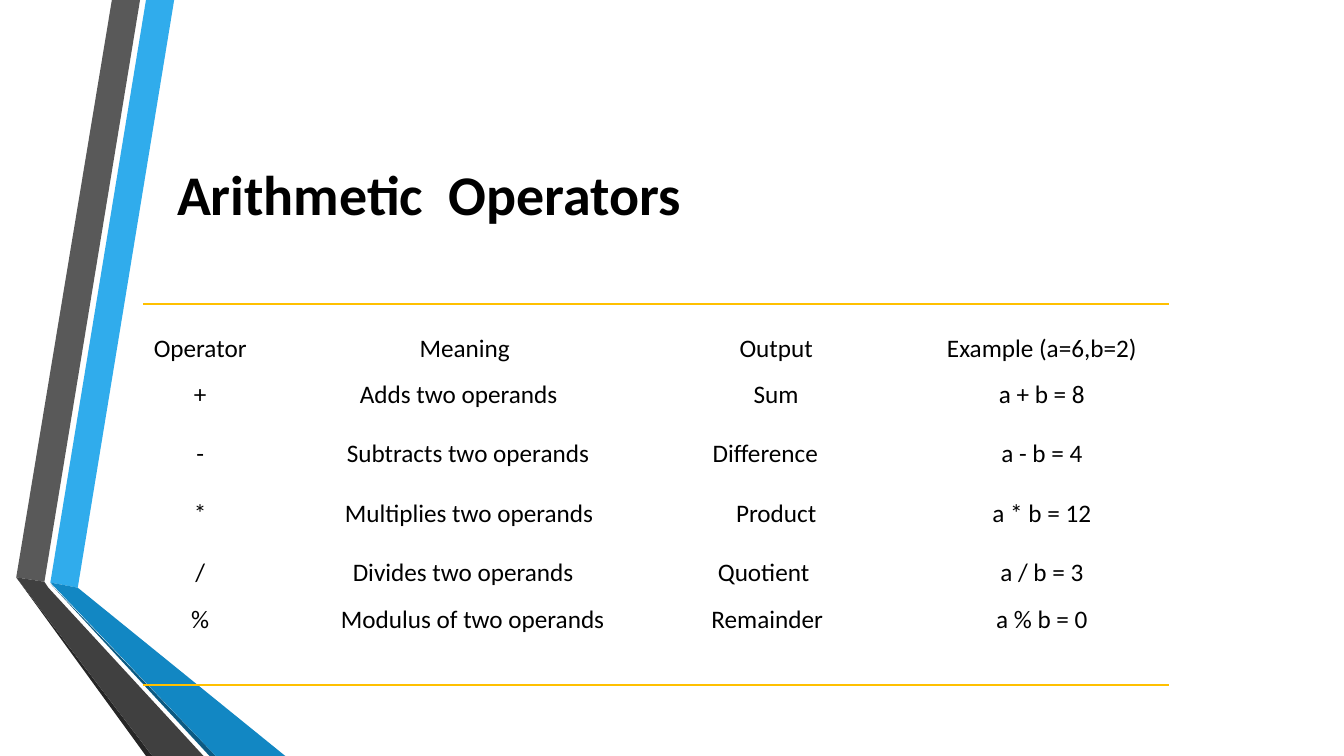
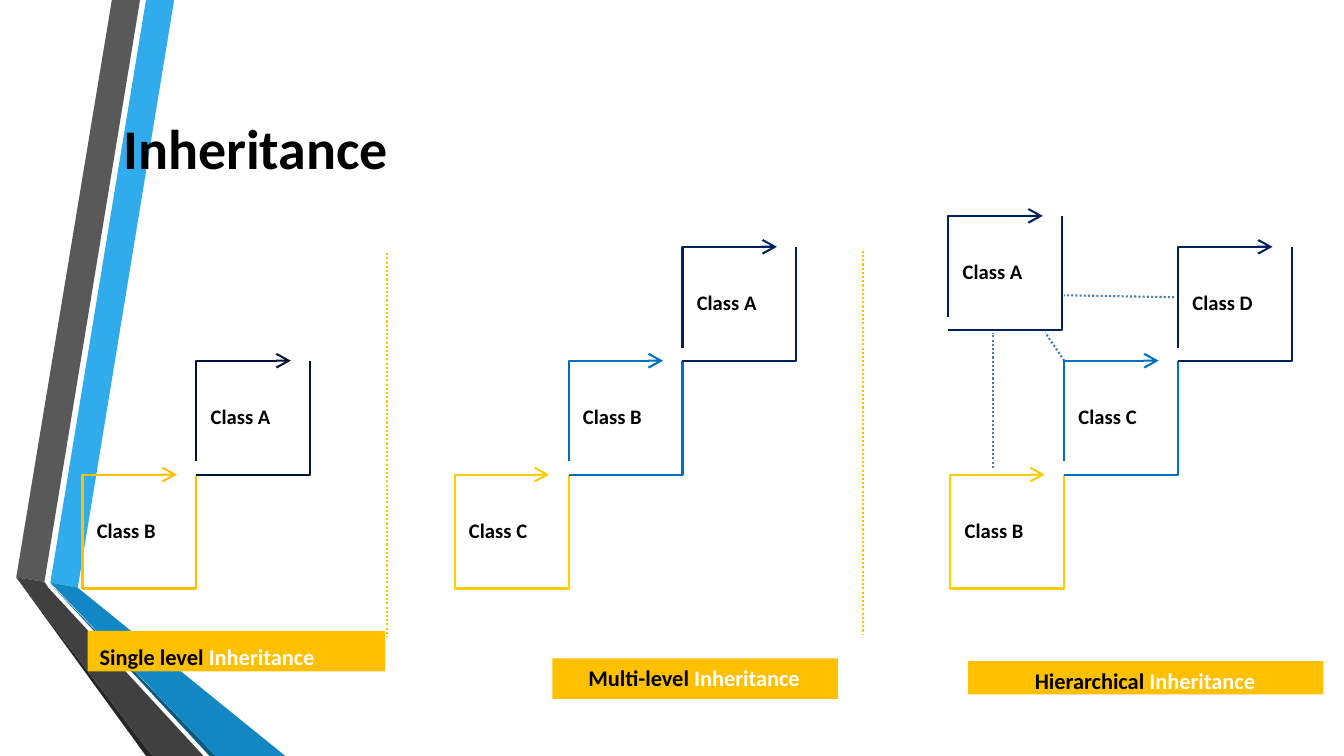
import pptx
import pptx.dml.color
import pptx.enum.dml
import pptx.enum.shapes
import pptx.enum.text
import pptx.oxml
import pptx.oxml.ns
import pptx.util

Cm, Pt = pptx.util.Cm, pptx.util.Pt
RGBColor = pptx.dml.color.RGBColor
PP_ALIGN = pptx.enum.text.PP_ALIGN
MSO_ANCHOR = pptx.enum.text.MSO_ANCHOR
MSO_SHAPE = pptx.enum.shapes.MSO_SHAPE
DOTTED = pptx.enum.dml.MSO_LINE.ROUND_DOT
NS = pptx.oxml.ns.nsdecls("a")

BLACK = RGBColor(0x00, 0x00, 0x00)
WHITE = RGBColor(0xFF, 0xFF, 0xFF)
GOLD = RGBColor(0xFF, 0xC0, 0x00)
YELLOW = RGBColor(0xFF, 0xCC, 0x00)
MIDNIGHT = RGBColor(0x00, 0x12, 0x39)
NAVY = RGBColor(0x00, 0x1F, 0x5F)
BLUE = RGBColor(0x00, 0x6F, 0xC0)
LINK_BLUE = RGBColor(0x49, 0x7D, 0xBA)
SKY = RGBColor(0x30, 0xAC, 0xEC)
OCEAN = RGBColor(0x12, 0x87, 0xC3)
DEEP = RGBColor(0x0C, 0x5A, 0x82)
GREY = RGBColor(0x59, 0x59, 0x59)
CHARCOAL = RGBColor(0x40, 0x40, 0x40)
SOOT = RGBColor(0x26, 0x26, 0x26)

TITLE = {"name": "Calibri", "size": Pt(40), "bold": True}
CELL = {"name": "Calibri", "size": Pt(18), "bold": False}
LABEL = {"name": "Calibri", "size": Pt(14.7), "bold": True}
CAPTION = {"name": "Calibri", "size": Pt(16), "bold": True}
NO_INSETS = {"margin_left": 0, "margin_top": 0, "margin_right": 0, "margin_bottom": 0}


def add_freeform(s, points, closed):
    """Draw an outline through points given in centimetres."""
    pts = [(Cm(x), Cm(y)) for x, y in points]
    builder = s.shapes.build_freeform(*pts[0], scale=1.0)
    builder.add_line_segments(pts[1:], close=closed)
    sp = builder.convert_to_shape()
    sp.shadow.inherit = False
    return sp


def add_run(p, text, fmt, color=BLACK):
    r = p.add_run()
    r.text = text
    for name, value in fmt.items():
        setattr(r.font, name, value)
    r.font.color.rgb = color


prs = pptx.Presentation()
prs.slide_width, prs.slide_height = Cm(33.87), Cm(19.05)
layout = prs.slide_layouts[5]

# Titles
slides = []
for text, left, top, width in [
    ("Arithmetic  Operators", 3.61, 3.86, 14.4),
    ("Inheritance", 1.88, 2.7, 9.12),
]:
    s = prs.slides.add_slide(layout)
    sp = s.shapes.title
    sp.left, sp.top, sp.width, sp.height = Cm(left), Cm(top), Cm(width), Cm(2.03)
    tf = sp.text_frame
    title_frame = {"word_wrap": True, "vertical_anchor": MSO_ANCHOR.MIDDLE,
                   "auto_size": pptx.enum.text.MSO_AUTO_SIZE.NONE}
    for name, value in {**NO_INSETS, **title_frame}.items():
        setattr(tf, name, value)
    tf.paragraphs[0].alignment = PP_ALIGN.CENTER
    add_run(tf.paragraphs[0], text, TITLE)
    slides.append(s)
operators, inheritance = slides

# Bands at the left edge, moved to the layout behind its placeholders
bands = [
    (SKY, [(1.27, 14.68), (1.96, 14.81), (4.39, 0), (3.68, 0)]),
    (GREY, [(3.53, 0), (2.82, 0), (0.41, 14.55), (1.12, 14.66)]),
    (SOOT, [(0.41, 14.55), (3.68, 19.05), (3.84, 19.05)]),
    (DEEP, [(1.27, 14.71), (5.28, 19.05), (5.44, 19.05)]),
    (OCEAN, [(1.27, 14.68), (5.44, 19.05), (7.19, 19.05), (1.96, 14.81)]),
    (CHARCOAL, [(0.41, 14.55), (3.84, 19.05), (5.13, 19.05), (1.22, 14.81), (1.12, 14.66)]),
]
for i, (color, points) in enumerate(bands):
    sp = add_freeform(operators, points, True)
    sp.fill.solid()
    sp.fill.fore_color.rgb = color
    sp.line.fill.background()
    layout.shapes.element.insert(2 + i, sp.element)

# Operator table: a cell with a left inset is left-aligned, others are centred
rows = [
    (1.63, 0.74, ["Operator", "Meaning", "Output", "Example (a=6,b=2)"], {}),
    (1.4, 0.25, ["+", "Adds two operands", "Sum", "a + b = 8"], {1: 1.65}),
    (1.5, 0.36, ["-", "Subtracts two operands", "Difference", "a - b = 4"], {1: 1.32, 2: 1.55}),
    (1.5, 0.36, ["*", "Multiplies two operands", "Product", "a * b = 12"], {1: 1.27}),
    (1.5, 0.36, ["/", "Divides two operands", "Quotient", "a / b = 3"], {1: 1.47, 2: 1.68}),
    (1.02, 0.03, ["%", "Modulus of two operands", "Remainder", "a % b = 0"], {1: 1.17, 2: 1.52}),
]
# Width, then left and right inset of centred cells
columns = [(3.81, 0, 0.94), (8.99, 0, 0.41), (6.2, 0.1, 0), (6.25, 1.04, 0)]
frame = operators.shapes.add_table(len(rows), len(columns), Cm(3.61), Cm(7.67),
                                   Cm(25.25), Cm(8.55))
NO_STYLE_NO_GRID = "{2D5ABB26-0587-4C30-8999-92F81FD0307C}"
frame.element.xpath(".//a:tableStyleId")[0].text = NO_STYLE_NO_GRID
table = frame.table
table.first_row = table.horz_banding = False
for col, (width, _, _) in zip(table.columns, columns):
    col.width = Cm(width)
for i, (height, top_inset, texts, left_insets) in enumerate(rows):
    table.rows[i].height = Cm(height)
    for j, text in enumerate(texts):
        cell = table.cell(i, j)
        cell.fill.background()
        _, left, right = columns[j]
        align = PP_ALIGN.CENTER
        if j in left_insets:
            left, right, align = left_insets[j], 0, PP_ALIGN.LEFT
        insets = {"margin_left": Cm(left), "margin_right": Cm(right), "margin_top": Cm(top_inset)}
        for name, value in {**NO_INSETS, **insets}.items():
            setattr(cell, name, value)
        p = cell.text_frame.paragraphs[0]
        p.alignment = align
        add_run(p, text, CELL)

# Straight lines: table rules, column dividers, links between classes
for s, color, dash, x1, y1, x2, y2 in [
    (operators, GOLD, None, 3.61, 7.67, 29.46, 7.67),
    (operators, GOLD, None, 3.61, 17.27, 29.46, 17.27),
    (inheritance, GOLD, DOTTED, 9.75, 6.38, 9.75, 16.05),
    (inheritance, GOLD, DOTTED, 21.74, 6.32, 21.74, 16),
    (inheritance, LINK_BLUE, DOTTED, 25.02, 11.79, 25.02, 8.38),
    (inheritance, LINK_BLUE, DOTTED, 26.82, 9.09, 26.34, 8.38),
    (inheritance, LINK_BLUE, DOTTED, 29.59, 7.49, 26.82, 7.44),
]:
    line = s.shapes.add_connector(pptx.enum.shapes.MSO_CONNECTOR.STRAIGHT,
                                  Cm(x1), Cm(y1), Cm(x2), Cm(y2))
    line.line.color.rgb = color
    line.line.width = Pt(1.5)
    line.line.dash_style = dash
    line.element.spPr.append(pptx.oxml.parse_xml(f"<a:effectLst {NS}/>"))

# Class boxes climb to the right, one box side per step
SIDE, ARROW_END, GAP_START = 2.87, 2.38, 2.54
staircases = [
    (2.08, 11.96, [("Class B", GOLD), ("Class A", MIDNIGHT)]),
    (11.46, 11.96, [("Class C", YELLOW), ("Class B", BLUE), ("Class A", NAVY)]),
    (23.95, 11.96, [("Class B", YELLOW), ("Class C", BLUE), ("Class D", NAVY)]),
    (23.9, 5.44, [("Class A", NAVY)]),
]
corner = [(SIDE, 0), (SIDE, SIDE), (0, SIDE)]
arrow = [(0, 0), (ARROW_END, 0)]
for x0, y0, classes in staircases:
    for step, (text, color) in enumerate(classes):
        x, y = x0 + step * SIDE, y0 - step * SIDE
        if color in (GOLD, YELLOW):
            outlines = [corner + arrow]
        else:
            outlines = [corner, [(0, GAP_START)] + arrow]
        for outline in outlines:
            sp = add_freeform(inheritance, [(x + dx, y + dy) for dx, dy in outline], False)
            sp.fill.background()
            sp.line.color.rgb = color
            sp.line.width = Pt(1.5)
        # The last outline is the one that ends in the arrow
        sp.line.color
        sp.element.spPr.find(pptx.oxml.ns.qn("a:ln")).append(
            pptx.oxml.parse_xml(f'<a:tailEnd {NS} type="arrow" w="lg" len="lg"/>'))
        tf = inheritance.shapes.add_textbox(Cm(x + 0.36), Cm(y + 1.09), Cm(1.8), Cm(0.65)).text_frame
        for name, value in {**NO_INSETS, "word_wrap": True}.items():
            setattr(tf, name, value)
        add_run(tf.paragraphs[0], text, LABEL)

# Captions
for kind, left, top, width, height, left_inset, top_inset in [
    ("Single level ", 2.21, 15.9, 7.5, 1.02, 0.3, 0.3),
    ("Multi-level ", 13.92, 16.59, 7.2, 1.02, 0.91, 0.15),
    ("Hierarchical ", 24.4, 16.66, 8.95, 0.84, 1.68, 0.15),
]:
    sp = inheritance.shapes.add_shape(MSO_SHAPE.RECTANGLE, Cm(left), Cm(top), Cm(width), Cm(height))
    sp.shadow.inherit = False
    sp.fill.solid()
    sp.fill.fore_color.rgb = GOLD
    sp.line.fill.background()
    tf = sp.text_frame
    caption_frame = {"margin_left": Cm(left_inset), "margin_top": Cm(top_inset),
                     "word_wrap": True, "vertical_anchor": MSO_ANCHOR.TOP}
    for name, value in {**NO_INSETS, **caption_frame}.items():
        setattr(tf, name, value)
    p = tf.paragraphs[0]
    p.alignment = PP_ALIGN.LEFT
    add_run(p, kind, CAPTION)
    add_run(p, "Inheritance", CAPTION, WHITE)

prs.save("out.pptx")
